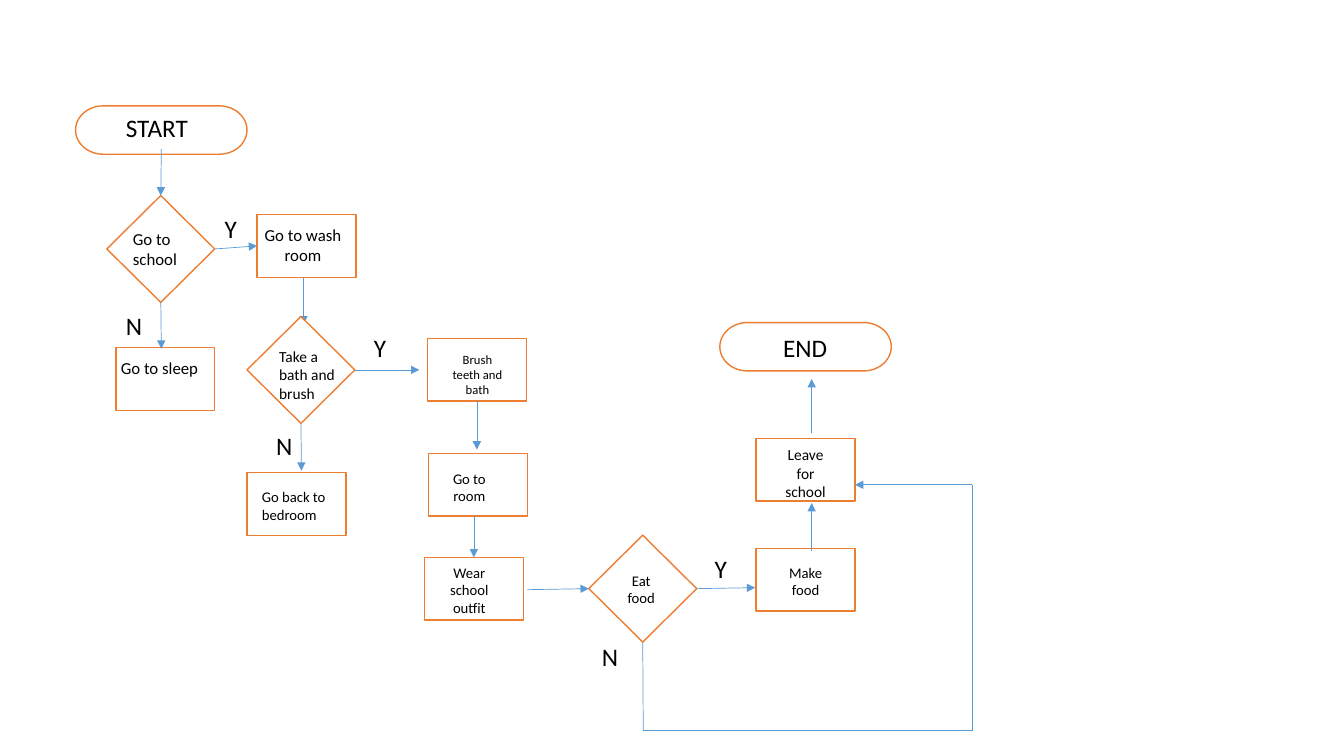
from dataclasses import dataclass
from typing import Any

from lxml.etree import SubElement
from pptx import Presentation
from pptx.dml.color import RGBColor
from pptx.enum.shapes import MSO_CONNECTOR as Line, MSO_SHAPE as Preset
from pptx.enum.text import MSO_AUTO_SIZE as AutoSize, PP_ALIGN as Align
from pptx.oxml.ns import qn
from pptx.util import Inches, Pt

OUTLINE, FLOW, PAPER, INK = "ED7D31", "5B9BD5", "FFFFFF", "000000"
TERMINAL = Preset.FLOWCHART_TERMINATOR
DECISION = Preset.FLOWCHART_DECISION
PROCESS = Preset.FLOWCHART_PROCESS
SIZES = {TERMINAL: (1.7, 0.48), DECISION: (1.07, 1.06), PROCESS: (0.98, 0.62)}
TOP, LEFT, BOTTOM, RIGHT = range(4)
CAPTION_FRAME = {"word_wrap": True, "auto_size": AutoSize.SHAPE_TO_FIT_TEXT}


@dataclass(frozen=True)
class Caption:
    text: str
    left: float
    top: float
    width: float
    height: float
    size: float = 18
    align: Align = Align.LEFT


@dataclass(frozen=True)
class Step:
    kind: Preset
    left: float
    top: float
    caption: Caption


@dataclass(frozen=True)
class Joint:
    step: str
    side: int


Point = tuple[float, float]


@dataclass(frozen=True)
class Arrow:
    start: Point | Joint
    end: Point | Joint
    has_head: bool = True


MID = Align.CENTER
STEPS = {
    "start": Step(TERMINAL, 0.75, 1.05, Caption("START", 1.15, 1.07, 1.06, 0.4)),
    "school": Step(DECISION, 1.06, 1.94, Caption("Go to school", 1.22, 2.22, 0.74, 0.5, 12)),
    "wash": Step(PROCESS, 2.55, 2.13, Caption("Go to wash room", 2.41, 2.18, 1.19, 0.5, 12, MID)),
    "sleep": Step(PROCESS, 1.15, 3.45, Caption("Go to sleep", 1.1, 3.5, 0.99, 0.3, 12)),
    "bath": Step(DECISION, 2.45, 3.14, Caption("Take a bath and brush", 2.67, 3.39, 0.85, 0.66, 11)),
    "brush": Step(PROCESS, 4.24, 3.36, Caption("Brush teeth and bath", 4.39, 3.44, 0.69, 0.56, 9, MID)),
    "bedroom": Step(PROCESS, 2.45, 4.69, Caption("Go back to bedroom", 2.5, 4.79, 0.85, 0.45, 10.5)),
    "food": Step(PROCESS, 7.5, 5.44, Caption("Make food", 7.68, 5.54, 0.62, 0.45, 10.5, MID)),
    "outfit": Step(PROCESS, 4.21, 5.53, Caption("Wear school outfit", 4.32, 5.54, 0.67, 0.63, 10.5, MID)),
    "room": Step(PROCESS, 4.25, 4.5, Caption("Go to room", 4.31, 4.61, 0.69, 0.45, 10.5, MID)),
    "eat": Step(DECISION, 5.84, 5.31, Caption("Eat food", 6.09, 5.62, 0.54, 0.45, 10.5, MID)),
    "leave": Step(PROCESS, 7.5, 4.35, Caption("Leave for school", 7.68, 4.37, 0.62, 0.66, 11, MID)),
    "end": Step(TERMINAL, 7.14, 3.2, Caption("END", 7.46, 3.25, 1.05, 0.4, 18, MID)),
}
ANSWERS = [
    Caption(answer, left, top, width, 0.4)
    for answer, width, places in (
        ("Y", 0.32, ((2.13, 2.07), (3.61, 3.25), (6.99, 5.44))),
        ("N", 0.35, ((1.15, 3.03), (2.64, 4.22), (5.87, 6.31))),
    )
    for left, top in places
]
LOOP_LEFT, LOOP_RIGHT, LOOP_TOP, LOOP_BOTTOM = 6.38, 9.64, 4.81, 7.25
WASH_TO_BATH = Arrow((3.01, 2.75), (3.01, 3.22))
ARROWS = [
    Arrow((1.6, 1.48), Joint("school", TOP)),
    Arrow(Joint("school", BOTTOM), (1.6, 3.46)),
    Arrow(Joint("school", RIGHT), Joint("wash", LEFT)),
    Arrow(Joint("bath", RIGHT), (4.16, 3.67)),
    Arrow(Joint("bath", BOTTOM), (2.99, 4.67)),
    Arrow(Joint("brush", BOTTOM), (4.73, 4.46)),
    Arrow((4.7, 5.12), Joint("outfit", TOP)),
    Arrow((5.23, 5.85), Joint("eat", LEFT)),
    Arrow(Joint("eat", RIGHT), (7.49, 5.83)),
    Arrow((8.05, 5.47), (8.05, 4.99)),
    Arrow((8.05, 4.3), (8.05, 3.76)),
    Arrow(Joint("eat", BOTTOM), (LOOP_LEFT, LOOP_BOTTOM), False),
    Arrow((LOOP_LEFT, LOOP_BOTTOM), (LOOP_RIGHT, LOOP_BOTTOM), False),
    Arrow((LOOP_RIGHT, LOOP_BOTTOM), (LOOP_RIGHT, LOOP_TOP), False),
    Arrow((LOOP_RIGHT, LOOP_TOP), (8.48, LOOP_TOP)),
]


def color(value: str) -> RGBColor:
    return RGBColor.from_string(value)


def apply_format(target: Any, values: dict[str, Any]) -> None:
    for name, value in values.items():
        setattr(target, name, value)


def draw_step(shapes: Any, step: Step) -> Any:
    box = map(Inches, (step.left, step.top, *SIZES[step.kind]))
    outline = shapes.add_shape(step.kind, *box)
    outline.shadow.inherit = False
    outline.fill.solid()
    outline.fill.fore_color.rgb = color(PAPER)
    outline.line.color.rgb = color(OUTLINE)
    outline.line.width = Pt(1)
    return outline


def draw_caption(shapes: Any, caption: Caption) -> None:
    box = map(Inches, (caption.left, caption.top, caption.width, caption.height))
    frame = shapes.add_textbox(*box).text_frame
    apply_format(frame, CAPTION_FRAME)
    wording = frame.paragraphs[0]
    wording.alignment = caption.align
    run = wording.add_run()
    run.text = caption.text
    apply_format(run.font, {"name": "Calibri", "size": Pt(caption.size)})
    run.font.color.rgb = color(INK)


def draw_arrow(shapes: Any, arrow: Arrow, outlines: dict[str, Any]) -> None:
    ends = (arrow.start, arrow.end)
    points = [(0, 0) if isinstance(end, Joint) else end for end in ends]
    flow_line = shapes.add_connector(
        Line.STRAIGHT, *(Inches(value) for point in points for value in point)
    )
    for end, connect in zip(ends, (flow_line.begin_connect, flow_line.end_connect)):
        if isinstance(end, Joint):
            connect(outlines[end.step], end.side)
    flow_line.line.color.rgb = color(FLOW)
    flow_line.line.width = Pt(0.5)
    properties = flow_line._element.spPr
    if arrow.has_head:
        SubElement(properties.find(qn("a:ln")), qn("a:tailEnd"), type="triangle")
    SubElement(properties, qn("a:effectLst"))


def main() -> None:
    deck = Presentation()
    apply_format(deck, {"slide_width": Inches(13.33), "slide_height": Inches(7.5)})
    shapes = deck.slides.add_slide(deck.slide_layouts[6]).shapes
    draw_arrow(shapes, WASH_TO_BATH, {})
    outlines = {name: draw_step(shapes, step) for name, step in STEPS.items()}
    for arrow in ARROWS:
        draw_arrow(shapes, arrow, outlines)
    for caption in [step.caption for step in STEPS.values()] + ANSWERS:
        draw_caption(shapes, caption)
    deck.save("out.pptx")


if __name__ == "__main__":
    main()
